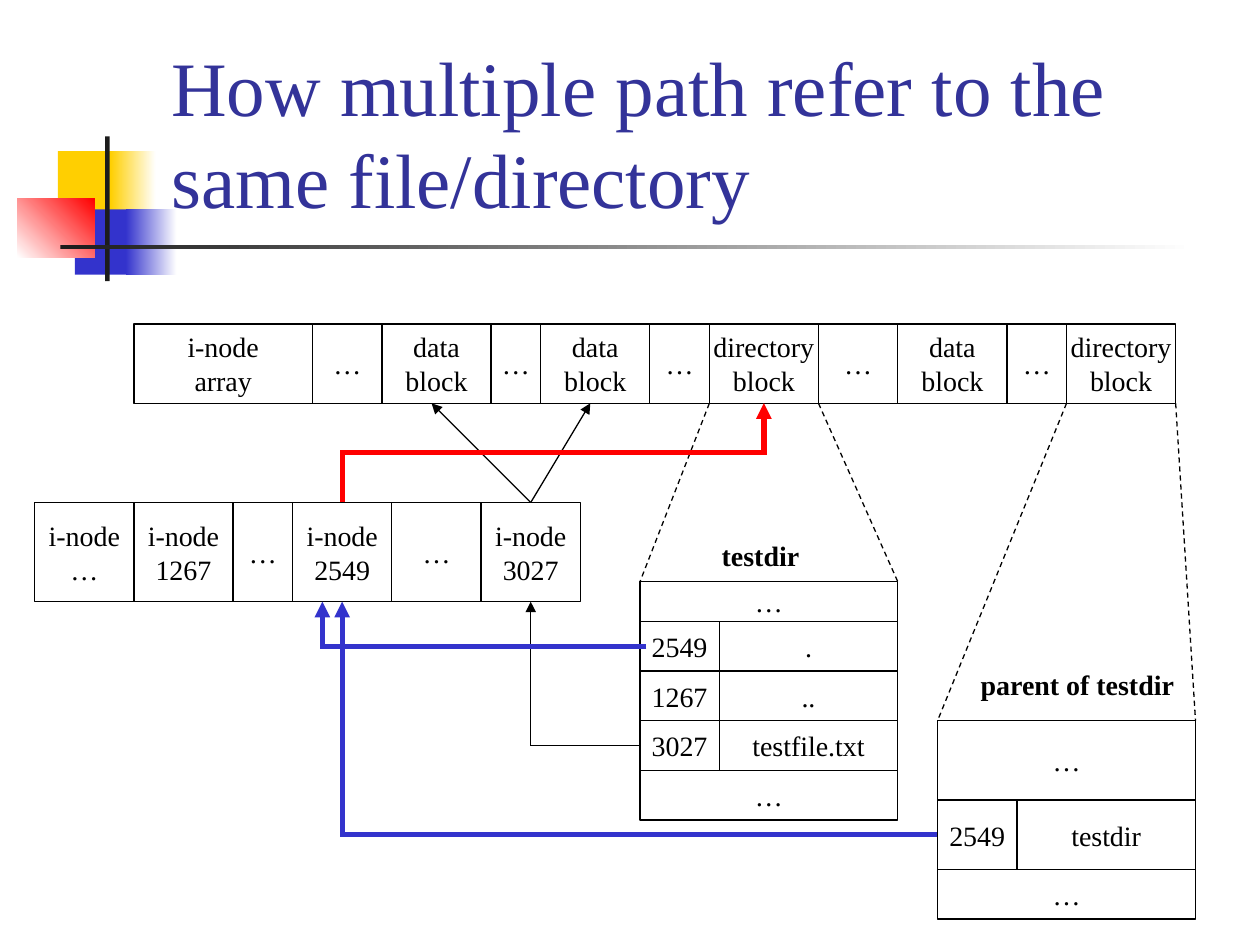
import pptx
import pptx.util
from pptx.dml.color import RGBColor
from pptx.enum.dml import MSO_LINE_DASH_STYLE
from pptx.enum.shapes import MSO_CONNECTOR, MSO_SHAPE
from pptx.enum.text import MSO_ANCHOR, PP_ALIGN
from pptx.oxml import parse_xml
from pptx.oxml.ns import nsdecls, qn
from pptx.util import Cm

BLACK = RGBColor(0x00, 0x00, 0x00)
WHITE = RGBColor(0xFF, 0xFF, 0xFF)
CHARCOAL = RGBColor(0x1C, 0x1C, 0x1C)
YELLOW = RGBColor(0xFF, 0xCF, 0x01)
RED = RGBColor(0xFF, 0x00, 0x00)
BLUE = RGBColor(0x33, 0x33, 0xCC)
NAVY = RGBColor(0x33, 0x33, 0x99)


def write_text(box, text, size=16, color=BLACK, bold=False, align=PP_ALIGN.LEFT):
    """Fill the box with one paragraph for each line of text."""
    frame = box.text_frame
    for index, line in enumerate(text.split("\n")):
        para = frame.paragraphs[0] if index == 0 else frame.add_paragraph()
        para.alignment = align
        span = para.add_run()
        span.text = line
        span.font.name = "Times New Roman"
        span.font.size = pptx.util.Pt(size)
        span.font.bold = bold
        span.font.color.rgb = color


def draw_line(start, end, kind=MSO_CONNECTOR.STRAIGHT, color=BLACK, width=0.75,
              dashed=False):
    """Draw a dashed line, or a solid one with sharp corners and an arrowhead."""
    line = slide.shapes.add_connector(kind, *(Cm(value) for value in start + end))
    line.line.color.rgb = color
    line.line.width = pptx.util.Pt(width)
    properties = line._element.spPr
    if dashed:
        line.line.dash_style = MSO_LINE_DASH_STYLE.DASH
    else:
        outline = properties.find(qn("a:ln"))
        outline.append(parse_xml(f'<a:miter {nsdecls("a")} lim="800000"/>'))
        outline.append(parse_xml(f'<a:tailEnd {nsdecls("a")} type="triangle"/>'))
    properties.append(parse_xml(f'<a:effectLst {nsdecls("a")}/>'))
    return line


deck = pptx.Presentation()
deck.slide_width = Cm(25.4)
deck.slide_height = Cm(19.05)
slide = deck.slides.add_slide(deck.slide_layouts[6])

# Corner ornament: left, top, width, height, colours, gradient angle
ornament = [
    (1.17, 3.05, 1.22, 1.32, [YELLOW], 0),
    (2.23, 3.05, 0.91, 1.32, [YELLOW, WHITE], 0),
    (1.51, 4.22, 1.17, 1.32, [BLUE], 0),
    (2.54, 4.22, 1.02, 1.32, [BLUE, WHITE], 0),
    (0.35, 4.01, 1.56, 1.18, [WHITE, RED], 45),
    (2.12, 2.75, 0.09, 2.92, [CHARCOAL], 0),
    (1.22, 4.94, 22.86, 0.09, [CHARCOAL, WHITE], 0),
]
for *place, colors, angle in ornament:
    block = slide.shapes.add_shape(MSO_SHAPE.RECTANGLE, *(Cm(value) for value in place))
    block.shadow.inherit = False
    block.line.fill.background()
    if len(colors) == 1:
        block.fill.solid()
        block.fill.fore_color.rgb = colors[0]
    else:
        block.fill.gradient()
        block.fill.gradient_angle = angle
        for stop, color in zip(block.fill.gradient_stops, colors):
            stop.color.rgb = color

title = slide.shapes.add_textbox(Cm(3.2), Cm(0.58), Cm(21.64), Cm(4.06))
title.text_frame.word_wrap = True
title.text_frame.vertical_anchor = MSO_ANCHOR.BOTTOM
write_text(title, "How multiple path refer to the same file/directory", 44, NAVY)

# Each strip or directory is a stack of rows: height, then (width, text) cells
DATA, DIRECTORY = (2.2, "data\nblock"), (2.2, "directory\nblock")
ENTRY_WIDTH, NUMBER_WIDTH, NAME_WIDTH = 5.2, 1.6, 3.6
DISK_LEFT, DISK_TOP, DISK_BOTTOM = 2.7, 6.53, 8.13
INODE_LEFT, INODE_TOP, INODE_BOTTOM = 0.7, 10.13, 12.13
TESTDIR_LEFT, TESTDIR_TOP = 12.9, 11.73
PARENT_LEFT, PARENT_TOP = 18.9, 14.53
stacks = [
    (DISK_LEFT, DISK_TOP, [
        (1.6, [(3.6, "i-node\narray"), (1.4, "…"), DATA, (1, "…"), DATA, (1.2, "…"),
               DIRECTORY, (1.6, "…"), DATA, (1.2, "…"), DIRECTORY])]),
    (INODE_LEFT, INODE_TOP, [
        (2, [(2, "i-node\n…"), (2, "i-node\n1267"), (1.2, "…"), (2, "i-node\n2549"),
             (1.8, "…"), (2, "i-node\n3027")])]),
    (TESTDIR_LEFT, TESTDIR_TOP, [
        (0.8, [(ENTRY_WIDTH, "…")]),
        (1, [(NUMBER_WIDTH, "2549"), (NAME_WIDTH, ".")]),
        (1, [(NUMBER_WIDTH, "1267"), (NAME_WIDTH, "..")]),
        (1, [(NUMBER_WIDTH, "3027"), (NAME_WIDTH, "testfile.txt")]),
        (1, [(ENTRY_WIDTH, "…")])]),
    (PARENT_LEFT, PARENT_TOP, [
        (1.6, [(ENTRY_WIDTH, "…")]),
        (1.4, [(NUMBER_WIDTH, "2549"), (NAME_WIDTH, "testdir")]),
        (1, [(ENTRY_WIDTH, "…")])]),
]
for stack_left, top, rows in stacks:
    for height, cells in rows:
        left = stack_left
        for width, text in cells:
            cell = slide.shapes.add_shape(
                MSO_SHAPE.RECTANGLE, Cm(left), Cm(top), Cm(width), Cm(height))
            cell.shadow.inherit = False
            cell.fill.background()
            cell.line.color.rgb = BLACK
            cell.line.width = pptx.util.Pt(0.75)
            cell.text_frame.word_wrap = False
            cell.text_frame.vertical_anchor = MSO_ANCHOR.MIDDLE
            write_text(cell, text, align=PP_ALIGN.CENTER)
            left += width
        top += height

for left, top, width, text in [(14.3, 10.74, 2.3, "testdir"),
                               (19.52, 13.34, 4.6, "parent of testdir")]:
    caption = slide.shapes.add_textbox(Cm(left), Cm(top), Cm(width), Cm(0.94))
    caption.text_frame.word_wrap = True
    write_text(caption, text, bold=True)

# Dashed lines open each directory block into its listing
for block_left, listing_left, listing_top in [(14.3, TESTDIR_LEFT, TESTDIR_TOP),
                                              (21.5, PARENT_LEFT, PARENT_TOP)]:
    draw_line((block_left, DISK_BOTTOM), (listing_left, listing_top), dashed=True)
    draw_line((block_left + 2.2, DISK_BOTTOM),
              (listing_left + ENTRY_WIDTH, listing_top), dashed=True)

# i-node 3027 points to its two data blocks
for data_x in (11.9, 8.7):
    draw_line((10.7, INODE_TOP), (data_x, DISK_BOTTOM))

# i-node 2549 points to its directory block; the quarter turn makes it leave upwards
directory_link = draw_line((12.15, 13.38), (10.15, 4.88), MSO_CONNECTOR.ELBOW, RED, 3)
directory_link._element.spPr.find(qn("a:xfrm")).set("rot", "5400000")

# Directory entries point to their i-nodes: sideways, then up
for start, inode_x, color, width in [((TESTDIR_LEFT, 15.03), 10.7, BLACK, 0.75),
                                     ((13.03, 13.03), 6.5, BLUE, 3),
                                     ((PARENT_LEFT, 16.83), 6.9, BLUE, 3)]:
    link = draw_line(start, (inode_x, INODE_BOTTOM), MSO_CONNECTOR.ELBOW, color, width)
    link._element.spPr.find(qn("a:prstGeom")).set("prst", "bentConnector2")

deck.save("out.pptx")
